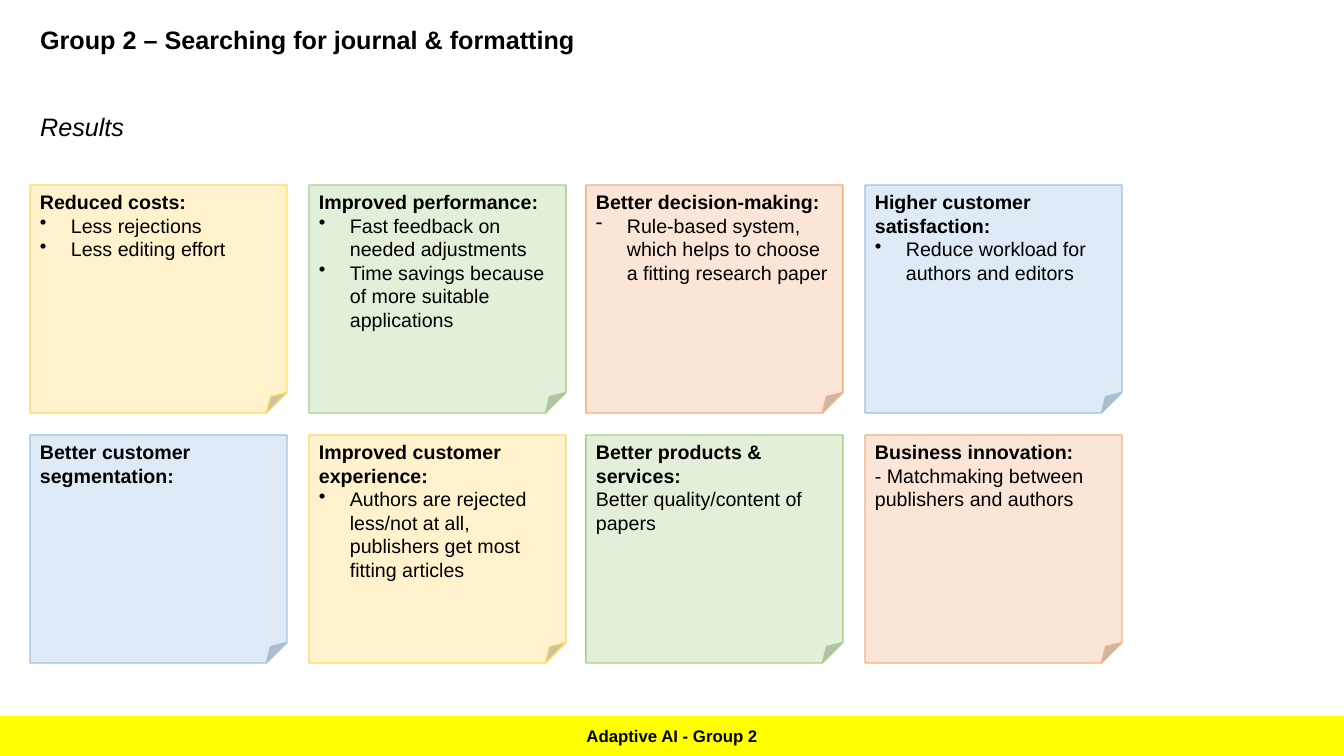
from lxml import etree
from pptx import Presentation
from pptx.dml.color import RGBColor
from pptx.enum.shapes import MSO_SHAPE
from pptx.enum.text import MSO_ANCHOR, MSO_AUTO_SIZE, PP_ALIGN
from pptx.oxml.ns import qn
from pptx.util import Emu, Pt

RECT, NOTE = MSO_SHAPE.RECTANGLE, MSO_SHAPE.FOLDED_CORNER
TOP, MIDDLE = MSO_ANCHOR.TOP, MSO_ANCHOR.MIDDLE
LEFT, CENTER = PP_ALIGN.LEFT, PP_ALIGN.CENTER
NO_AUTOFIT = MSO_AUTO_SIZE.NONE
FONT = "Arial"
SLIDE_W, SLIDE_H = 1344, 756
NOTE_W, NOTE_H = 257, 228
NOTE_LEFTS = (30, 309, 586, 865)
NOTE_TOP, ROW_PITCH = 185, 250

YELLOW = ("FFF2CC", "FFD966")
GREEN = ("E2F0D9", "A9D18E")
ORANGE = ("FBE5D6", "F4B183")
BLUE = ("DEEBF7", "9DC3E6")

# (colours, heading, bullet character, points)
NOTES = [
    (YELLOW, "Reduced costs:", "•", ["Less rejections", "Less editing effort"]),
    (GREEN, "Improved performance:", "•",
     ["Fast feedback on needed adjustments",
      "Time savings because of more suitable applications"]),
    (ORANGE, "Better decision-making:", "-",
     ["Rule-based system, which helps to choose a fitting research paper"]),
    (BLUE, "Higher customer satisfaction:", "•",
     ["Reduce workload for authors and editors"]),
    (BLUE, "Better customer segmentation:", None, []),
    (YELLOW, "Improved customer experience:", "•",
     ["Authors are rejected less/not at all, publishers get most fitting articles"]),
    (GREEN, "Better products & services:", None,
     ["Better quality/content of papers"]),
    (ORANGE, "Business innovation:", None,
     ["- Matchmaking between publishers and authors"]),
]


def px(n):
    return Emu(round(n * 914400 / 100.8))


def rgb(color):
    return RGBColor.from_string(color)


def write(p, text, size, bold=False, italic=False, align=LEFT):
    p.text = text
    p.alignment = align
    p.space_before = Pt(0)
    f = p.font
    f.name, f.size, f.bold, f.italic = FONT, Pt(size), bold, italic
    f.color.rgb = rgb("000000")


def set_bullet(p, char, indent=0):
    """Give the paragraph a hanging bullet, or none if char is None."""
    pPr = p._p.get_or_add_pPr()
    pPr.set("marL", str(px(indent)))
    pPr.set("indent", str(-px(indent)))
    bullet = etree.Element(qn("a:buChar" if char else "a:buNone"))
    if char:
        bullet.set("char", char)
    pPr.insert_element_before(bullet, "a:tabLst", "a:defRPr", "a:extLst")


def set_fold(sp, share):
    """Set the size of the folded corner as a share of the shorter side."""
    guides = next(sp._element.iter(qn("a:avLst")))
    etree.SubElement(guides, qn("a:gd"), name="adj",
                     fmla=f"val {round(share * 100000)}")


def add_box(slide, preset, box, fill):
    sp = slide.shapes.add_shape(preset, *map(px, box))
    sp.shadow.inherit = False
    sp.fill.solid()
    sp.fill.fore_color.rgb = rgb(fill)
    return sp


def fill_heading(sp, box, text, **style):
    sp.left, sp.top, sp.width, sp.height = map(px, box)
    tf = sp.text_frame
    tf.word_wrap = True
    tf.auto_size = NO_AUTOFIT
    tf.vertical_anchor = TOP
    write(tf.paragraphs[0], text, 18, **style)
    set_bullet(tf.paragraphs[0], None)


def add_footer(slide, box, text):
    sp = add_box(slide, RECT, box, "FFFF00")
    sp.line.fill.background()
    sp.text_frame.vertical_anchor = MIDDLE
    write(sp.text_frame.paragraphs[0], text, 12, bold=True, align=CENTER)


def add_note(slide, box, colors, heading, char, points):
    fill, line = colors
    sp = add_box(slide, NOTE, box, fill)
    set_fold(sp, 0.09)
    sp.line.color.rgb = rgb(line)
    sp.line.width = Pt(1)
    tf = sp.text_frame
    tf.word_wrap = True
    tf.vertical_anchor = TOP
    write(tf.paragraphs[0], heading, 14, bold=True)
    for point in points:
        p = tf.add_paragraph()
        write(p, point, 14)
        if char:
            set_bullet(p, char, 31)


def main():
    prs = Presentation()
    prs.slide_width, prs.slide_height = px(SLIDE_W), px(SLIDE_H)
    slide = prs.slides.add_slide(prs.slide_layouts[1])
    title, body = slide.placeholders
    fill_heading(title, (30, 19, 672, 40),
                 "Group 2 – Searching for journal & formatting", bold=True)
    fill_heading(body, (30, 106, 1286, 40), "Results", italic=True)
    add_footer(slide, (0, 716, SLIDE_W, 40), "Adaptive AI - Group 2")
    for i, note in enumerate(NOTES):
        row, col = divmod(i, len(NOTE_LEFTS))
        box = (NOTE_LEFTS[col], NOTE_TOP + row * ROW_PITCH, NOTE_W, NOTE_H)
        add_note(slide, box, *note)
    prs.save("out.pptx")


if __name__ == "__main__":
    main()
